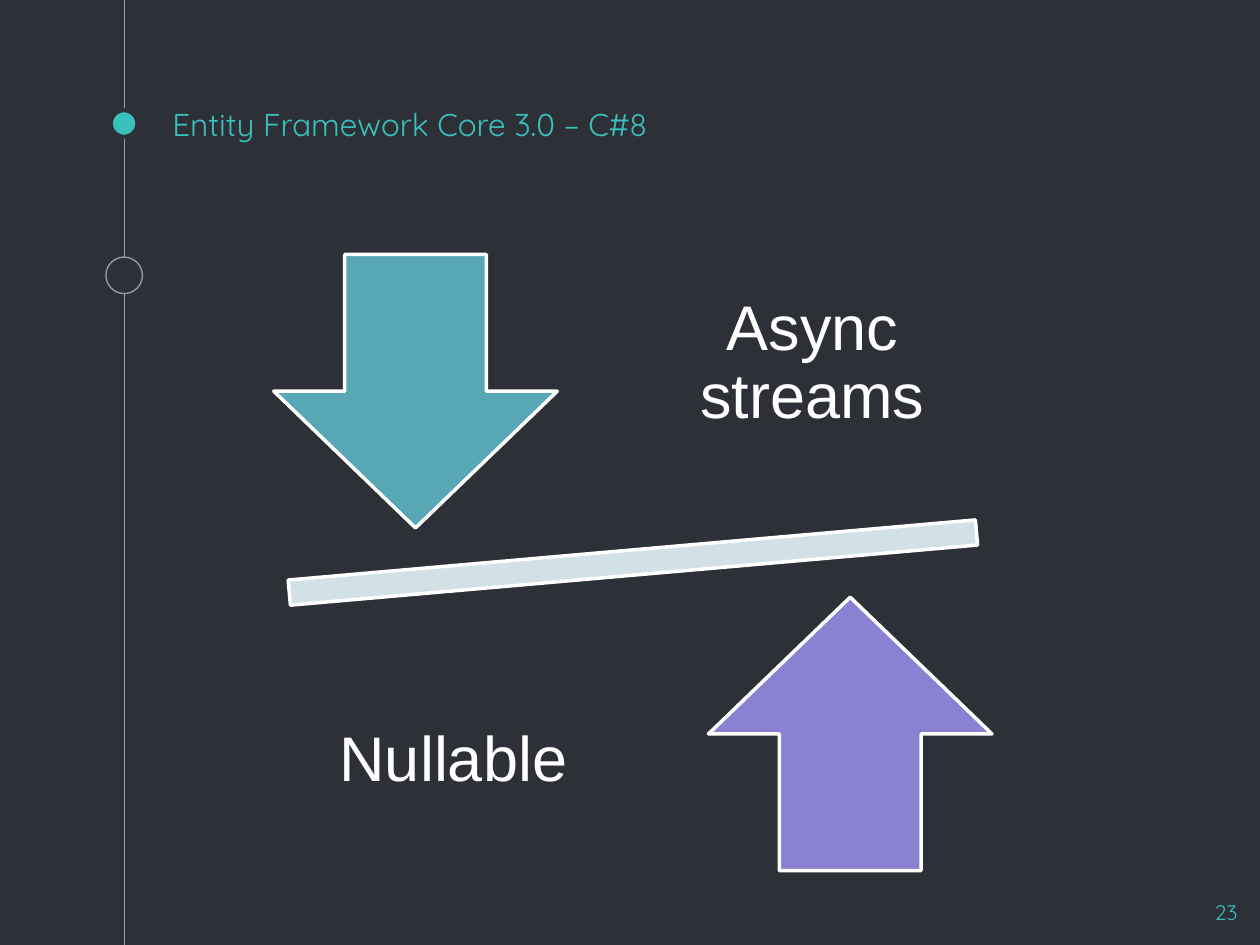
"""Build a slide that balances two C#8 features on a seesaw."""
from lxml import etree
from pptx import Presentation
from pptx.dml.color import RGBColor
from pptx.enum import shapes, text
from pptx.oxml import ns
from pptx.util import Inches, Pt

COLUMNS, ROWS = 100, 75
CELL = Inches(10) / COLUMNS
PIVOT = (50.23, 44.65)
COLORS = {
    "background": "2E3037",
    "rail": "999FA9",
    "accent": "39C0BA",
    "white": "FFFFFF",
    "beam": "D1E1E5",
    "down": "57A7B5",
    "up": "8B81D2",
}


def grid(*cells):
    """Convert grid cells to slide lengths."""
    return [round(cell * CELL) for cell in cells]


def color(name):
    """Return a named colour."""
    return RGBColor.from_string(COLORS[name])


def centered(offset, size, side=1):
    """Return a box around a point offset from the pivot to the given side."""
    corner = [p + side * o - s / 2 for p, o, s in zip(PIVOT, offset, size)]
    return (*corner, *size)


def add_shape(slide, kind, box, fill, line, width, rotation=0):
    """Add an outlined preset shape."""
    shape = slide.shapes.add_shape(kind, *grid(*box))
    shape.shadow.inherit = False
    shape.fill.solid()
    shape.fill.fore_color.rgb = color(fill)
    shape.line.color.rgb = color(line)
    shape.line.width = Pt(width)
    shape.rotation = rotation


def add_rail(slide, column):
    """Add a vertical line over the full height of the slide."""
    ends = grid(column, 0, column, ROWS)
    rail = slide.shapes.add_connector(shapes.MSO_CONNECTOR.STRAIGHT, *ends)
    rail.line.color.rgb = color("rail")
    rail.line.width = Pt(0.75)
    etree.SubElement(rail._element.spPr, ns.qn("a:effectLst"))


def add_text(slide, words, box, font, size, fill, align, anchor, inset=1, spacing=1):
    """Add a wrapped text box with one paragraph."""
    shape = slide.shapes.add_textbox(*grid(*box))
    frame = shape.text_frame
    frame.word_wrap = True
    frame.vertical_anchor = anchor
    margin, = grid(inset)
    frame.margin_left = frame.margin_right = margin
    frame.margin_top = frame.margin_bottom = margin
    frame.text = words
    paragraph = frame.paragraphs[0]
    paragraph.alignment = align
    paragraph.line_spacing = spacing
    run_font = paragraph.runs[0].font
    run_font.name = font
    run_font.size = Pt(size)
    run_font.color.rgb = color(fill)


def add_timeline(slide):
    """Add the rail with its two round markers."""
    oval = shapes.MSO_SHAPE.OVAL
    add_rail(slide, 9.87)
    add_shape(slide, oval, (8.8, 8.75, 2.1, 2.1), "accent", "background", 2.25)
    add_shape(slide, oval, (8.4, 20.4, 2.9, 2.9), "background", "rail", 0.75)


def add_seesaw(slide):
    """Add the tilted beam with an arrow and a label on either side."""
    preset = shapes.MSO_SHAPE
    beam = centered((0, 0), (74.5, 8.5))
    add_shape(slide, preset.MATH_MINUS, beam, "beam", "white", 2, rotation=355)
    sides = (
        (-1, preset.DOWN_ARROW, "down", "Async streams"),
        (1, preset.UP_ARROW, "up", "Nullable"),
    )
    for side, kind, fill, label in sides:
        arrow = centered((17.25, 13.6), (22.5, 21.7), side)
        add_shape(slide, kind, arrow, fill, "white", 2)
        label_box = centered((-14.25, 15.75), (24, 22.8), side)
        add_text(slide, label, label_box, "Arial", 36, "white",
                 text.PP_ALIGN.CENTER, text.MSO_ANCHOR.MIDDLE, 2.8, 0.9)


def main():
    """Build and save the presentation."""
    presentation = Presentation()
    presentation.slide_width, presentation.slide_height = grid(COLUMNS, ROWS)
    slide = presentation.slides.add_slide(presentation.slide_layouts[6])
    slide.background.fill.solid()
    slide.background.fill.fore_color.rgb = color("background")
    add_timeline(slide)
    add_text(slide, "Entity Framework Core 3.0 – C#8", (12.7, 7.3, 75, 5),
             "Quicksand", 18, "accent", text.PP_ALIGN.LEFT, text.MSO_ANCHOR.BOTTOM)
    add_text(slide, "23", (93.2, 70.4, 6, 4.6),
             "Quicksand", 12, "accent", text.PP_ALIGN.RIGHT, text.MSO_ANCHOR.TOP)
    add_seesaw(slide)
    presentation.save("out.pptx")


if __name__ == "__main__":
    main()
